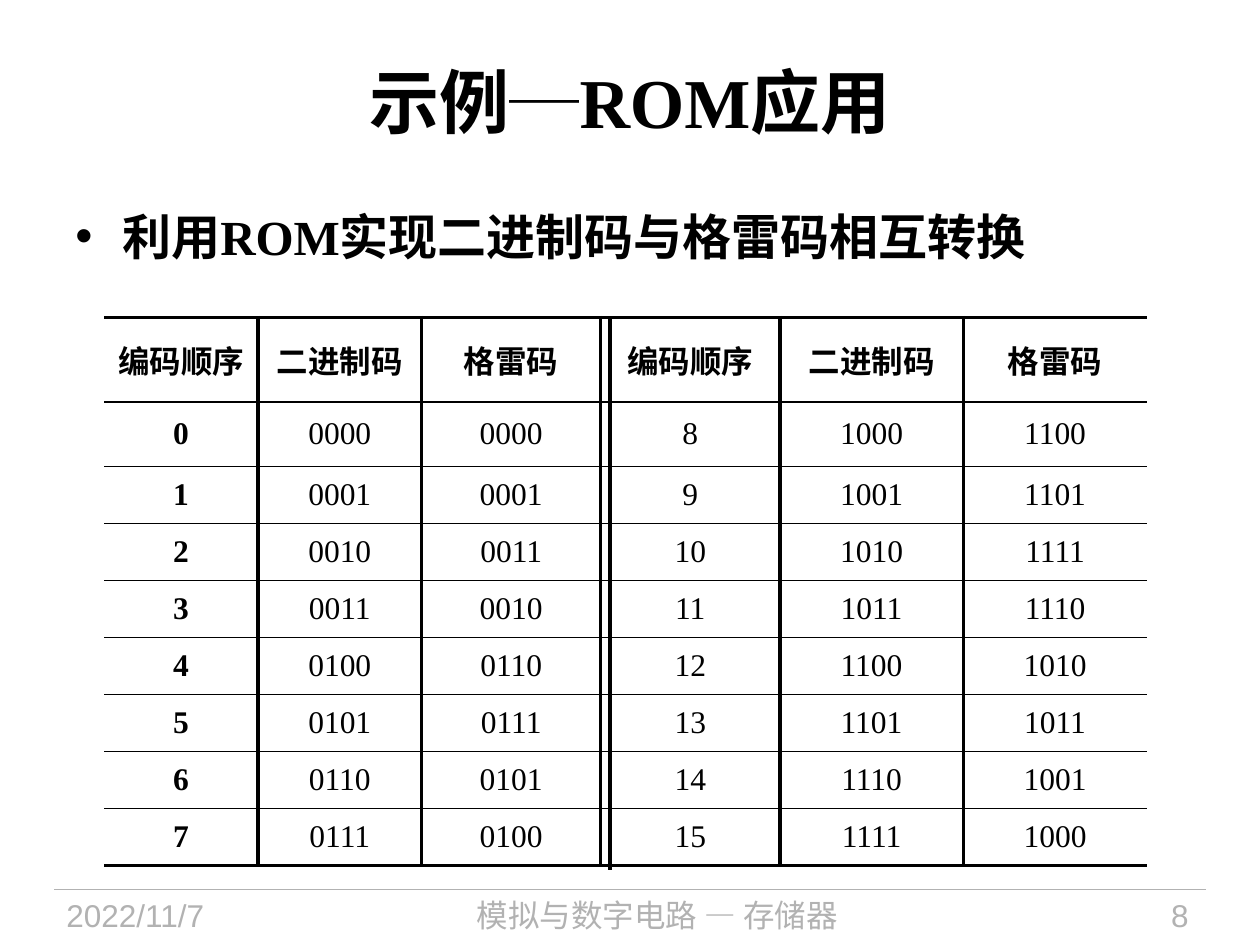
from dataclasses import dataclass
from typing import Any

from lxml.etree import SubElement
from pptx import Presentation
from pptx.dml.color import RGBColor
from pptx.enum.shapes import MSO_CONNECTOR
from pptx.enum.text import MSO_ANCHOR, PP_ALIGN
from pptx.oxml.ns import qn
from pptx.util import Cm, Pt

HUES = {"ink": "000000", "grey": "B2B2B2"}
SERIF, SANS, CJK = "Times New Roman", "Arial", "Noto Sans CJK SC"
HEADS = ["编码顺序", "二进制码", "格雷码"] * 2
WIDTHS = [3.1, 3.3, 3.61, 3.61, 3.7, 3.7]
HEIGHTS = [1.7, 1.3] + [1.15] * 7
THICK, THIN = 2.25, 1


@dataclass
class Note:
    text: str
    left: float
    top: float
    width: float
    height: float
    align: PP_ALIGN
    font: str
    size: int = 18
    hue: str = "grey"
    bold: bool = False


@dataclass
class Rule:
    x1: float
    y1: float
    x2: float
    y2: float
    hue: str
    width: float


NOTES = [
    Note("2022/11/7", 1.09, 17.93, 4.78, 1.12, PP_ALIGN.LEFT, SANS),
    Note("模拟与数字电路 — 存储器", 6.1, 17.93, 14.3, 1.12, PP_ALIGN.CENTER, CJK),
    Note("8", 20.83, 17.93, 3.38, 1.12, PP_ALIGN.RIGHT, SANS),
    Note("利用ROM实现二进制码与格雷码相互转换", 1.27, 4.04, 22.86, 1.6,
         PP_ALIGN.LEFT, SERIF, 28, "ink", True),
]
RULES = [
    Rule(1.09, 17.93, 24.31, 17.93, "grey", 0.75),
    Rule(12.29, 6.4, 12.29, 17.53, "ink", THICK),
]


def style(para: Any, face: str, size: int, hue: str, bold: bool, align: PP_ALIGN) -> None:
    """Format a whole paragraph, Chinese glyphs included."""
    para.alignment = align
    font = para.font
    font.size, font.bold, font.name = Pt(size), bold, face
    font.color.rgb = RGBColor.from_string(HUES[hue])
    SubElement(font._element, qn("a:ea"), typeface=CJK)


def write(slide: Any, note: Note) -> Any:
    """Add a text box and return its paragraph."""
    box = slide.shapes.add_textbox(Cm(note.left), Cm(note.top), Cm(note.width), Cm(note.height))
    box.text_frame.word_wrap = True
    para = box.text_frame.paragraphs[0]
    para.text = note.text
    style(para, note.font, note.size, note.hue, note.bold, note.align)
    return para


def bullet(para: Any) -> None:
    """Give a paragraph a hanging round bullet."""
    props = para._p.get_or_add_pPr()
    props.set("marL", str(Cm(0.95)))
    props.set("indent", str(Cm(-0.95)))
    face = props.makeelement(qn("a:buFont"), {"typeface": SANS})
    mark = props.makeelement(qn("a:buChar"), {"char": "•"})
    props.insert(0, face)
    props.insert(1, mark)


def draw(slide: Any, rule: Rule) -> None:
    """Add a straight line without a shadow."""
    line = slide.shapes.add_connector(
        MSO_CONNECTOR.STRAIGHT, Cm(rule.x1), Cm(rule.y1), Cm(rule.x2), Cm(rule.y2))
    line.line.color.rgb = RGBColor.from_string(HUES[rule.hue])
    line.line.width = Pt(rule.width)
    SubElement(line._element.spPr, qn("a:effectLst"))


def border(cell: Any, side: str, width: float) -> None:
    """Set one cell edge, where zero width means none."""
    edge = SubElement(cell._tc.get_or_add_tcPr(), qn(f"a:ln{side}"), w=str(Pt(width)))
    if width:
        fill = SubElement(edge, qn("a:solidFill"))
        SubElement(fill, qn("a:srgbClr"), val=HUES["ink"])
    else:
        SubElement(edge, qn("a:noFill"))


def codes(num: int) -> list[str]:
    """Return a number with its binary and Gray codes."""
    return [str(num), f"{num:04b}", f"{num ^ num >> 1:04b}"]


def grid(slide: Any) -> None:
    """Add the code table."""
    rows = [HEADS] + [codes(num) + codes(num + 8) for num in range(8)]
    frame = slide.shapes.add_table(
        len(rows), len(HEADS), Cm(2.1), Cm(6.4), Cm(sum(WIDTHS)), Cm(sum(HEIGHTS)))
    table = frame.table
    for col, width in zip(table.columns, WIDTHS):
        col.width = Cm(width)
    for row, height in zip(table.rows, HEIGHTS):
        row.height = Cm(height)
    last, end = len(rows) - 1, len(HEADS) - 1
    for r, texts in enumerate(rows):
        for c, text in enumerate(texts):
            cell = table.cell(r, c)
            cell.text = text
            cell.vertical_anchor = MSO_ANCHOR.MIDDLE
            para = cell.text_frame.paragraphs[0]
            style(para, SERIF, 18, "ink", r == 0 or c == 0, PP_ALIGN.CENTER)
            border(cell, "L", THICK if c else 0)
            border(cell, "R", THICK if c < end else 0)
            border(cell, "T", THIN if r else THICK)
            border(cell, "B", THIN if r < last else THICK)
            cell.fill.background()


def head(slide: Any) -> None:
    """Fill and place the title."""
    title = slide.shapes.title
    title.left, title.top, title.width, title.height = Cm(1.27), Cm(0.43), Cm(22.86), Cm(3.18)
    title.text_frame.vertical_anchor = MSO_ANCHOR.MIDDLE
    para = title.text_frame.paragraphs[0]
    style(para, SERIF, 40, "ink", True, PP_ALIGN.CENTER)
    for text, face in (("示例", SERIF), ("─", CJK), ("ROM应用", SERIF)):
        run = para.add_run()
        run.text, run.font.name = text, face


def main() -> None:
    """Build the slide and save it."""
    deck = Presentation()
    deck.slide_width, deck.slide_height = Cm(25.4), Cm(19.05)
    slide = deck.slides.add_slide(deck.slide_layouts[5])
    head(slide)
    paras = [write(slide, note) for note in NOTES]
    bullet(paras[-1])
    grid(slide)
    for rule in RULES:
        draw(slide, rule)
    deck.save("out.pptx")


if __name__ == "__main__":
    main()
